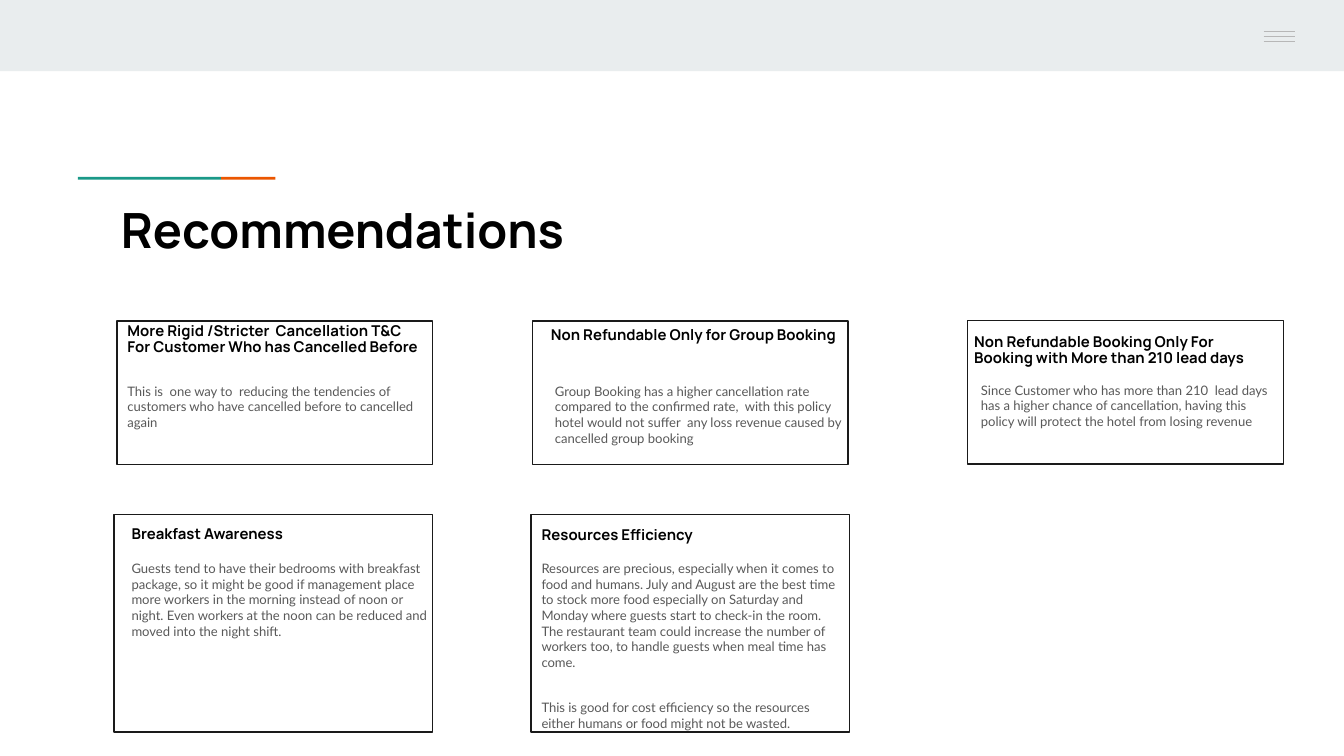
from lxml.etree import SubElement
from pptx import Presentation
from pptx.dml.color import RGBColor
from pptx.enum.shapes import MSO_CONNECTOR, MSO_SHAPE
from pptx.enum.text import MSO_ANCHOR, MSO_AUTO_SIZE, PP_ALIGN
from pptx.oxml.ns import qn
from pptx.util import Pt

TEXT_W = 174.2
SMALL_BOX = (169.2, 77)
LARGE_BOX = (170.6, 116.6)

CARDS = [
    ((62.6, 172), SMALL_BOX, (61.2, 166.3, 36), (61.2, 198, 43.2),
     "More Rigid /Stricter  Cancellation T&C  For Customer Who has Cancelled Before",
     ["This is  one way to  reducing the tendencies of customers who have cancelled "
      "before to cancelled again"]),
    ((285.1, 172), SMALL_BOX, (288, 168.5, 31.7), (290.2, 198, 43.2),
     "Non Refundable Only for Group Booking",
     ["Group Booking has a higher cancellation rate compared to the confirmed rate,  "
      "with this policy hotel would not suffer  any loss revenue caused by cancelled "
      "group booking"]),
    ((518.4, 171.7), SMALL_BOX, (514.8, 172.1, 24.5), (518.4, 197.5, 43.2),
     "Non Refundable Booking Only For Booking with More than 210 lead days",
     ["Since Customer who has more than 210  lead days has a higher chance of "
      "cancellation, having this policy will protect the hotel from losing revenue"]),
    ((61.2, 275.6), LARGE_BOX, (63.4, 275, 18), (63.4, 293, 54),
     "Breakfast Awareness",
     ["Guests tend to have their bedrooms with breakfast package, so it might be good "
      "if management place more workers in the morning instead of noon or night. Even "
      "workers at the noon can be reduced and moved into the night shift."]),
    ((284.4, 275.6), LARGE_BOX, (283, 275.6, 18), (283, 293, 99.4),
     "Resources Efficiency",
     ["Resources are precious, especially when it comes to food and humans. July and "
      "August are the best time to stock more food especially on Saturday and Monday "
      "where guests start to check-in the room. The restaurant team could increase the "
      "number of workers too, to handle guests when meal time has come.",
      "This is good for cost efficiency so the resources either humans or food might "
      "not be wasted."]),
]


def rgb(value):
    return RGBColor.from_string(value)


def place(sp, x, y, w, h):
    sp.left, sp.top, sp.width, sp.height = Pt(x), Pt(y), Pt(w), Pt(h)


def add_rect(s, x, y, w, h, fill, line=None):
    sp = s.shapes.add_shape(MSO_SHAPE.RECTANGLE, Pt(x), Pt(y), Pt(w), Pt(h))
    sp.shadow.inherit = False
    sp.fill.solid()
    sp.fill.fore_color.rgb = rgb(fill)
    if line:
        sp.line.color.rgb = rgb(line)
        sp.line.width = Pt(0.75)
    else:
        sp.line.fill.background()


def add_line(s, x1, x2, y, color):
    c = s.shapes.add_connector(MSO_CONNECTOR.STRAIGHT, Pt(x1), Pt(y), Pt(x2), Pt(y))
    c.line.color.rgb = rgb(color)
    c.line.width = Pt(0.75)
    SubElement(c.element.spPr, qn("a:effectLst"))


def write_text(sp, paragraphs, font, size, color, bold=False, spacing=1.0):
    tf = sp.text_frame
    tf.word_wrap = True
    tf.auto_size = MSO_AUTO_SIZE.NONE
    tf.vertical_anchor = MSO_ANCHOR.TOP
    tf.margin_left = tf.margin_right = tf.margin_top = tf.margin_bottom = Pt(7.2)
    for i, text in enumerate(paragraphs):
        p = tf.add_paragraph() if i else tf.paragraphs[0]
        p.alignment = PP_ALIGN.LEFT
        p.line_spacing = spacing
        p.space_before = Pt(16 if i else 0)
        r = p.add_run()
        r.text = text
        r.font.name = font
        r.font.size = Pt(size)
        r.font.bold = bold
        r.font.color.rgb = rgb(color)


def add_text(s, x, y, h, paragraphs, *style):
    sp = s.shapes.add_textbox(Pt(x), Pt(y), Pt(TEXT_W), Pt(h))
    write_text(sp, paragraphs, *style)


def add_header(s):
    add_rect(s, 0, 0, 720, 38.2, "E9EDEE")
    for i in range(3):
        add_line(s, 677, 694, 16.9 + 2.6 * i, "B7B7B7")
    add_rect(s, 41.8, 94.8, 76.6, 1.5, "1A9988")
    add_rect(s, 118.4, 94.8, 29.1, 1.5, "EB5600")


def add_card(s, corner, size, heading_at, body_at, heading, body):
    add_rect(s, *corner, *size, "FFFFFF", "1A1A1A")
    add_text(s, *heading_at, [heading], "Manrope", 8, "000000", True, 0.9)
    add_text(s, *body_at, body, "Lato", 7, "595959")


def main():
    prs = Presentation()
    prs.slide_width, prs.slide_height = Pt(720), Pt(405)
    s = prs.slides.add_slide(prs.slide_layouts[5])
    add_header(s)
    place(s.shapes.title, 57.6, 103.7, 605.5, 42.5)
    write_text(s.shapes.title, ["Recommendations"], "Manrope", 26, "000000", True, 0.9)
    for card in CARDS:
        add_card(s, *card)
    prs.save("out.pptx")


if __name__ == "__main__":
    main()
